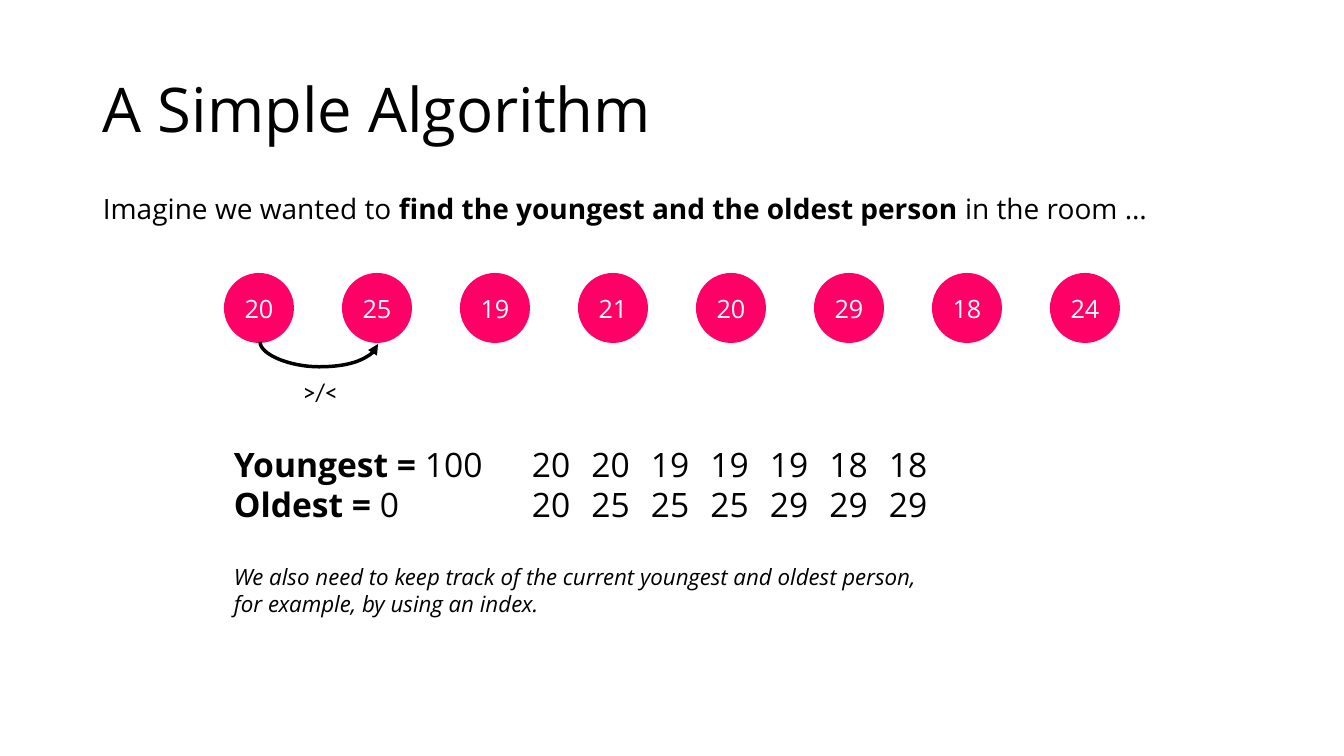
"""Build the slide on finding the youngest and the oldest person."""
from lxml.etree import SubElement
from pptx import Presentation
from pptx.dml.color import RGBColor
from pptx.enum.shapes import MSO_CONNECTOR, MSO_SHAPE
from pptx.enum.text import MSO_ANCHOR, PP_ALIGN
from pptx.oxml.ns import qn
from pptx.util import Pt

SCALE = 914400 / 100.8
COLORS = {"text": "000000", "circle": "FF0066", "label": "FFFFFF"}
AGES = [20, 25, 19, 21, 20, 29, 18, 24]
YOUNGEST = [20, 20, 19, 19, 19, 18, 18]
OLDEST = [20, 25, 25, 25, 29, 29, 29]


def px(*values):
    return [round(v * SCALE) for v in values]


def rgb(name):
    return RGBColor.from_string(COLORS[name])


def write(tf, lines, size, color="text", font="Open Sans", **para):
    """Each line is a list of (text, font attributes) runs."""
    for i, line in enumerate(lines):
        p = tf.paragraphs[0] if i == 0 else tf.add_paragraph()
        for name, value in para.items():
            setattr(p, name, value)
        for text, extra in line:
            r = p.add_run()
            r.text = text
            r.font.color.rgb = rgb(color)
            for name, value in {"name": font, "size": Pt(size), **extra}.items():
                setattr(r.font, name, value)


def add_text(s, box, lines, size, anchor=MSO_ANCHOR.TOP, **style):
    tf = s.shapes.add_textbox(*px(*box)).text_frame
    tf.word_wrap = True
    tf.vertical_anchor = anchor
    write(tf, lines, size, **style)


def add_circle(s, x, y, size, age):
    sp = s.shapes.add_shape(MSO_SHAPE.OVAL, *px(x, y, size, size))
    sp.shadow.inherit = False
    sp.fill.solid()
    sp.fill.fore_color.rgb = rgb("circle")
    sp.line.fill.background()
    tf = sp.text_frame
    tf.vertical_anchor = MSO_ANCHOR.MIDDLE
    write(tf, [[(str(age), {})]], 18, "label", alignment=PP_ALIGN.CENTER)


def add_arc_arrow(s, x1, y1, x2, y2, depth):
    """Curve that hangs below its ends: a connector turned by 270 degrees."""
    cx, cy = (x1 + x2) / 2, (y1 + y2) / 2
    dx, dy = (y2 - y1) / 2, (x2 - x1) / 2
    c = s.shapes.add_connector(MSO_CONNECTOR.CURVE,
                               *px(cx + dx, cy - dy, cx - dx, cy + dy))
    c.line.width = Pt(2.5)
    c.line.color.rgb = rgb("text")
    pr = c._element.spPr
    pr.find(qn("a:xfrm")).set("rot", str(270 * 60000))
    guides = pr.find(qn("a:prstGeom")).get_or_add_avLst()
    SubElement(guides, qn("a:gd"), name="adj1",
               fmla=f"val {round(depth / (y2 - y1) * 100000)}")
    SubElement(pr.find(qn("a:ln")), qn("a:tailEnd"), type="triangle")
    SubElement(pr, qn("a:effectLst"))


def main():
    prs = Presentation()
    prs.slide_width, prs.slide_height = px(1344, 756)
    s = prs.slides.add_slide(prs.slide_layouts[6])
    bold = {"bold": True}

    add_text(s, (93, 40, 1159, 146), [[("A Simple Algorithm", {})]], 44,
             MSO_ANCHOR.MIDDLE, line_spacing=0.9)
    add_text(s, (93, 170, 1106, 55),
             [[("Imagine we wanted to ", {}),
               ("find the youngest and the oldest person", bold),
               (" in the room …", {})]], 20, line_spacing=1.5)

    for i, age in enumerate(AGES):
        add_circle(s, 224 + 118 * i, 273, 70, age)
    add_arc_arrow(s, 260, 342, 378, 344, 25)
    add_text(s, (293, 371, 143, 40), [[(">/<", {})]], 18, font="Calibri")

    add_text(s, (224, 439, 298, 92),
             [[("Youngest = ", bold), ("100", {})],
              [("Oldest = ", bold), ("0", {})]], 24)
    for i, pair in enumerate(zip(YOUNGEST, OLDEST)):
        add_text(s, (522 + 59.5 * i, 439, 70, 92),
                 [[(str(age), {})] for age in pair], 24)

    add_text(s, (224, 558, 709, 65),
             [[("We also need to keep track of the current youngest and oldest "
                "person, for example, by using an index.", {"italic": True})]], 16)
    prs.save("out.pptx")


main()
